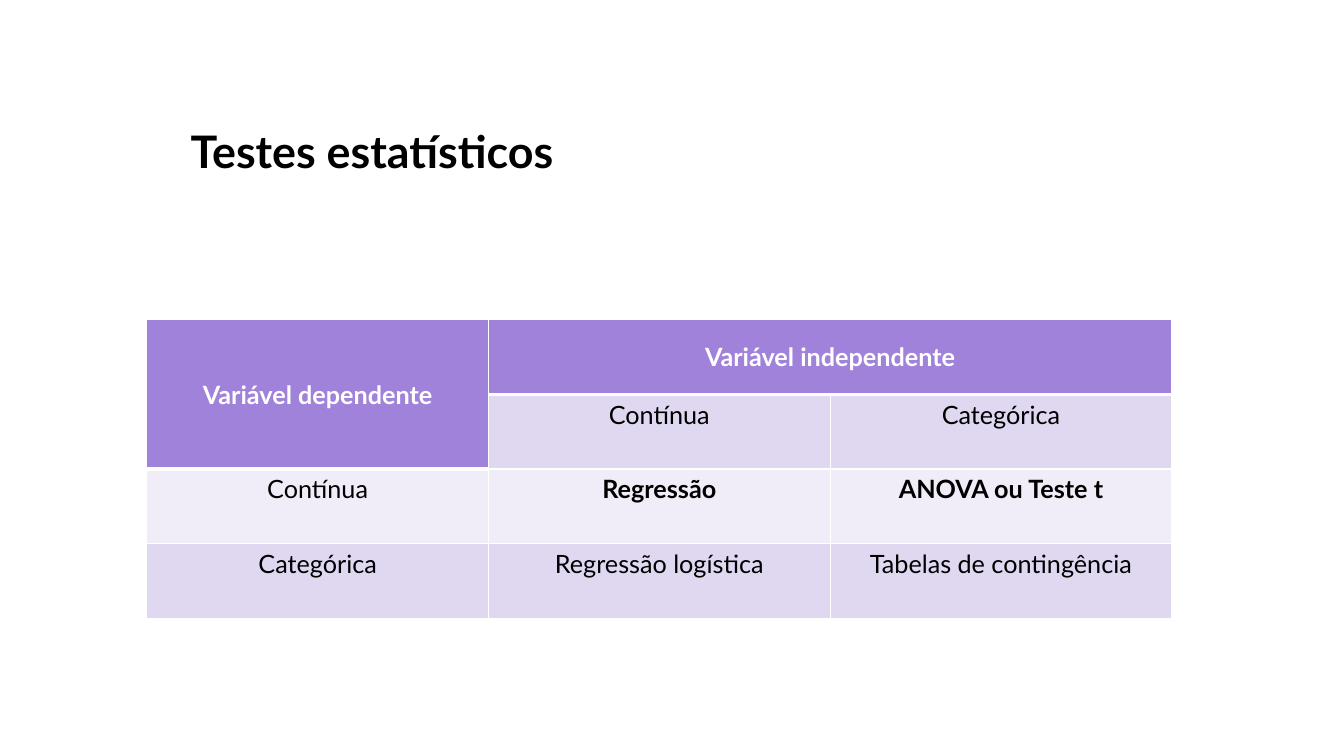
from dataclasses import dataclass

from lxml import etree
from pptx import Presentation
from pptx import util as u
from pptx.dml.color import RGBColor
from pptx.enum import text
from pptx.oxml import ns

COLORS = {
    "header": "A182DA",
    "band": "E0D8F1",
    "light": "F0EDF8",
    "white": "FFFFFF",
    "black": "000000",
}
FONT = "Lato"
ROWS, COLUMNS = 4, 3
COLUMN_WIDTH, ROW_HEIGHT = u.Cm(8.61), u.Cm(1.88)


@dataclass
class TableCell:
    row: int
    column: int
    words: str
    fill: str
    bold: bool = False
    header: bool = False
    row_span: int = 1
    column_span: int = 1


CELLS = [
    TableCell(0, 0, "Variável dependente", "header", True, True, row_span=2),
    TableCell(0, 1, "Variável independente", "header", True, True, column_span=2),
    TableCell(1, 1, "Contínua", "band"),
    TableCell(1, 2, "Categórica", "band"),
    TableCell(2, 0, "Contínua", "light"),
    TableCell(2, 1, "Regressão", "light", True),
    TableCell(2, 2, "ANOVA ou Teste t", "light", True),
    TableCell(3, 0, "Categórica", "band"),
    TableCell(3, 1, "Regressão logística", "band"),
    TableCell(3, 2, "Tabelas de contingência", "band"),
]


def apply_format(target, values: dict) -> None:
    for name, value in values.items():
        setattr(target, name, value)


def write_text(frame, words: str, size: int, color: str, bold: bool, alignment) -> None:
    paragraph = frame.paragraphs[0]
    paragraph.alignment = alignment
    run = paragraph.add_run()
    run.text = words
    apply_format(run.font, {"name": FONT, "size": u.Pt(size), "bold": bold})
    run.font.color.rgb = RGBColor.from_string(COLORS[color])


def add_borders(cell, bottom: float) -> None:
    properties = cell._tc.get_or_add_tcPr()
    widths = {"lnL": 1, "lnR": 1, "lnT": 1, "lnB": bottom}
    for position, (tag, width) in enumerate(widths.items()):
        line = etree.Element(ns.qn(f"a:{tag}"), w=str(u.Pt(width)))
        fill = etree.SubElement(line, ns.qn("a:solidFill"))
        etree.SubElement(fill, ns.qn("a:srgbClr"), val=COLORS["white"])
        properties.insert(position, line)


def draw_cell(table, item: TableCell) -> None:
    cell = table.cell(item.row, item.column)
    last_row = item.row + item.row_span
    last_column = item.column + item.column_span
    if item.row_span * item.column_span > 1:
        cell.merge(table.cell(last_row - 1, last_column - 1))
    for row in range(item.row, last_row):
        for column in range(item.column, last_column):
            part = table.cell(row, column)
            part.fill.solid()
            part.fill.fore_color.rgb = RGBColor.from_string(COLORS[item.fill])
            add_borders(part, 3 if item.header else 1)
    anchors = text.MSO_ANCHOR
    cell.vertical_anchor = anchors.MIDDLE if item.header else anchors.TOP
    write_text(cell.text_frame, item.words, 18, "white" if item.header else "black",
               item.bold, text.PP_ALIGN.CENTER)


def main() -> None:
    presentation = Presentation()
    apply_format(presentation, {"slide_width": u.Cm(33.87), "slide_height": u.Cm(19.05)})
    slide = presentation.slides.add_slide(presentation.slide_layouts[5])

    # Title
    title = slide.shapes.title
    apply_format(title, {"left": u.Cm(4.55), "top": u.Cm(1.9),
                         "width": u.Cm(24.77), "height": u.Cm(3.81)})
    apply_format(title.text_frame, {"vertical_anchor": text.MSO_ANCHOR.MIDDLE,
                                    "word_wrap": True})
    write_text(title.text_frame, "Testes estatísticos", 32, "black", True,
               text.PP_ALIGN.LEFT)

    # Table of tests by type of variable
    table = slide.shapes.add_table(ROWS, COLUMNS, u.Cm(3.7), u.Cm(8.06),
                                   COLUMN_WIDTH * COLUMNS, ROW_HEIGHT * ROWS).table
    table.horz_banding = False
    for item in CELLS:
        draw_cell(table, item)

    presentation.save("out.pptx")


if __name__ == "__main__":
    main()
